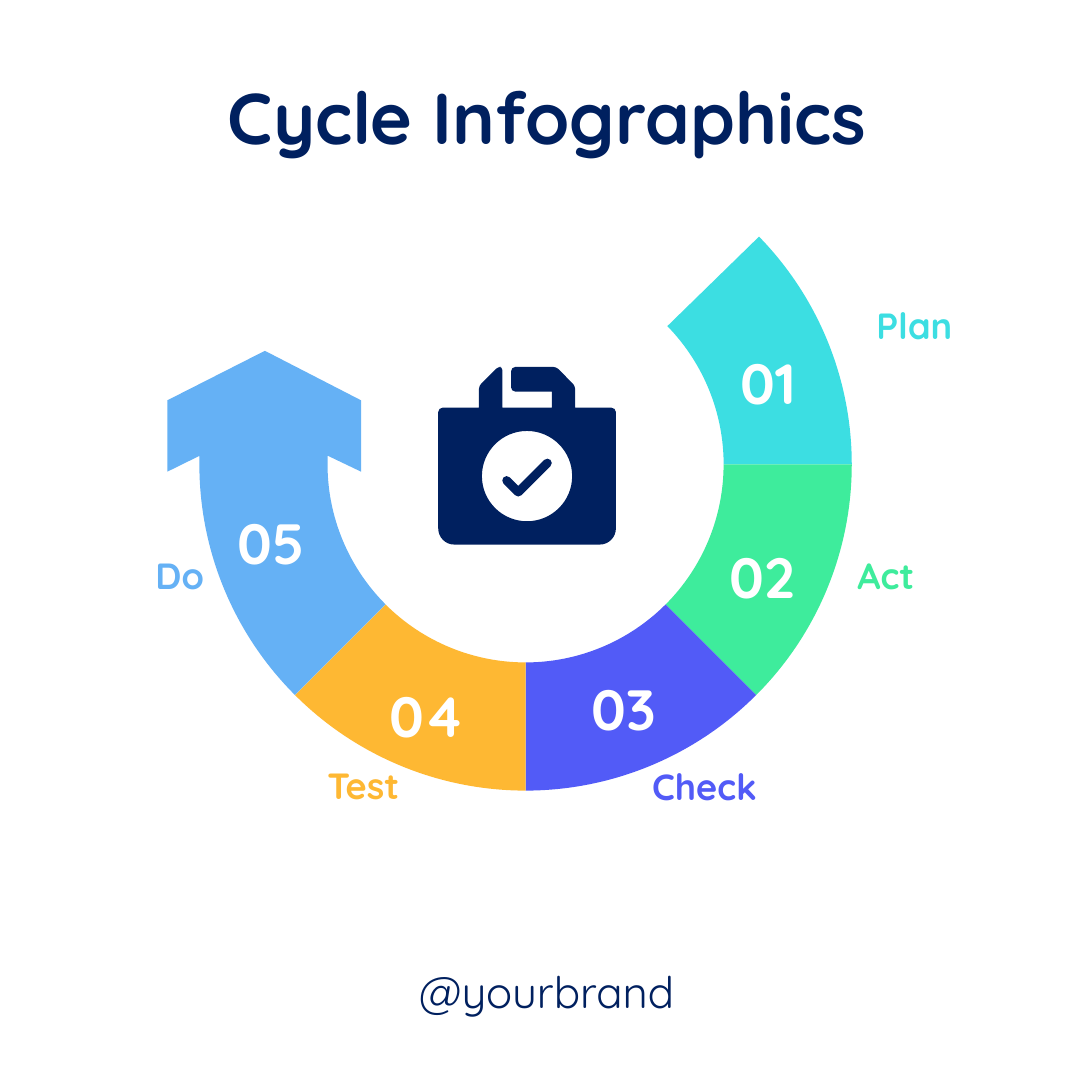
from math import ceil, cos, radians, sin, tan

from pptx import Presentation
from pptx import util as u
from pptx.dml.color import RGBColor
from pptx.enum import text
from pptx.oxml.ns import qn

SIDE = 7.5
NAVY, WHITE = "00205F", "FFFFFF"
FONT = "Quicksand"
LEFT, CENTER, RIGHT = text.PP_ALIGN.LEFT, text.PP_ALIGN.CENTER, text.PP_ALIGN.RIGHT

TITLE = ("Cycle Infographics", (0.56, 0.45, 6.4, 0.7))
HANDLE = ("@yourbrand", (2.38, 6.58, 2.75, 0.46))

STEPS = [
    ("01", "Plan", "3CDEE2", (4.9, 2.34), (5.92, 2.03, 1.18), LEFT),
    ("02", "Act", "3EEC9C", (4.86, 3.67), (5.79, 3.75, 1.18), LEFT),
    ("03", "Check", "525BF7", (3.91, 4.58), (4.38, 5.2, 1.58), LEFT),
    ("04", "Test", "FEB833", (2.56, 4.63), (1.66, 5.19, 1.18), RIGHT),
    ("05", "Do", "65B1F5", (1.49, 3.44), (0.32, 3.75, 1.18), RIGHT),
]
NUMBER_SIZE, LABEL_HEIGHT = (0.75, 0.57), (0.4,)

RING_CENTER, OUTER, INNER = (3.61, 3.19), 2.24, 1.36
OUTER_ANGLES = [-44.3, 0, 45, 90, 135, 181.5]
INNER_ANGLES = OUTER_ANGLES[:-1] + [182.5]
ARROW_HEAD = [(1.15, 3.24), (1.15, 2.75), (1.82, 2.41), (2.48, 2.75), (2.48, 3.24)]

BAG_CORNERS = [
    (4.23, 2.8, 0.03), (4.23, 3.74, 0.11), (3.01, 3.74, 0.11), (3.01, 2.8, 0.03),
    (3.29, 2.8, 0), (3.29, 2.65, 0.02), (3.42, 2.52, 0.02), (3.45, 2.52, 0.02),
    (3.45, 2.8, 0), (3.79, 2.8, 0), (3.79, 2.69, 0), (3.51, 2.69, 0.03),
    (3.51, 2.52, 0.03), (3.82, 2.52, 0.02), (3.95, 2.65, 0.02), (3.95, 2.8, 0),
]
BADGE_CENTER, BADGE_RADIUS = (3.62, 3.27), 0.31
TICK_START, TICK_TURN, TICK_END, TICK_RADIUS = (3.48, 3.3), (3.56, 3.38), (3.76, 3.18), 0.03


def color(value):
    return RGBColor.from_string(value)


def arc(center, radius, start, stop):
    count = ceil(abs(stop - start) / 90)
    turn = radians(stop - start) / count
    reach = 4 / 3 * tan(turn / 4)

    def on_arc(angle, pull=0):
        return (center[0] + radius * (cos(angle) - pull * sin(angle)),
                center[1] + radius * (sin(angle) + pull * cos(angle)))

    angles = [radians(start) + turn * i for i in range(count + 1)]
    curves = [on_arc(a, reach) + on_arc(b, -reach) + on_arc(b)
              for a, b in zip(angles, angles[1:])]
    return [on_arc(angles[0])] + curves


def toward(point, target, distance):
    dx, dy = target[0] - point[0], target[1] - point[1]
    share = distance / (dx * dx + dy * dy) ** 0.5
    return point[0] + dx * share, point[1] + dy * share


def rounded(corners):
    steps = []
    for i, (x, y, cut) in enumerate(corners):
        if not cut:
            steps.append((x, y))
            continue
        before, after = corners[i - 1], corners[(i + 1) % len(corners)]
        pull = cut * 0.45
        steps += [toward((x, y), before, cut),
                  toward((x, y), before, pull) + toward((x, y), after, pull)
                  + toward((x, y), after, cut)]
    return steps


def points_of(step):
    lengths = [u.Inches(value) for value in step]
    return list(zip(lengths[::2], lengths[1::2]))


def bend(shape, contours):
    lines = iter(list(shape.element.iter(qn("a:lnTo"))))
    for contour in contours:
        for step in contour[1:]:
            line = next(lines)
            if len(step) == 6:
                line.tag = qn("a:cubicBezTo")
                for extra in (next(lines), next(lines)):
                    line.append(extra[0])
                    extra.getparent().remove(extra)


def add_outline(group, fill, *contours):
    paths = [[point for step in contour for point in points_of(step)] for contour in contours]
    builder = group.shapes.build_freeform(*paths[0][0])
    builder.add_line_segments(paths[0][1:], close=True)
    for path in paths[1:]:
        builder.move_to(*path[0])
        builder.add_line_segments(path[1:], close=True)
    shape = builder.convert_to_shape()
    bend(shape, contours)
    shape.shadow.inherit = False
    shape.fill.solid()
    shape.fill.fore_color.rgb = color(fill)
    shape.line.fill.background()


def write(box, words, place, size, fill, bold=True, align=CENTER):
    box.left, box.top, box.width, box.height = map(u.Inches, place)
    frame = box.text_frame
    frame.word_wrap = True
    frame.auto_size = text.MSO_AUTO_SIZE.SHAPE_TO_FIT_TEXT
    frame.vertical_anchor = text.MSO_ANCHOR.TOP
    para = frame.paragraphs[0]
    para.text = words
    para.alignment = align
    para.font.name, para.font.size, para.font.bold = FONT, u.Pt(size), bold
    para.font.color.rgb = color(fill)


def add_text(page, *details, **options):
    write(page.shapes.add_textbox(0, 0, 0, 0), *details, **options)


def add_ring(page):
    ring = page.shapes.add_group_shape()
    for i, step in enumerate(STEPS):
        head = ARROW_HEAD if step is STEPS[-1] else []
        add_outline(ring, step[2],
                    arc(RING_CENTER, OUTER, OUTER_ANGLES[i], OUTER_ANGLES[i + 1]) + head
                    + arc(RING_CENTER, INNER, INNER_ANGLES[i + 1], INNER_ANGLES[i]))


def add_bag(page):
    bag = page.shapes.add_group_shape()
    add_outline(bag, NAVY, rounded(BAG_CORNERS), arc(BADGE_CENTER, BADGE_RADIUS, 360, 0))
    inner_turn = (TICK_TURN[0], TICK_TURN[1] - TICK_RADIUS * 2 ** 0.5)
    add_outline(bag, NAVY, arc(TICK_START, TICK_RADIUS, 135, 315) + [inner_turn]
                + arc(TICK_END, TICK_RADIUS, 225, 405)
                + arc(TICK_TURN, TICK_RADIUS, 45, 135))


def main():
    """Build the cycle infographic slide."""
    deck = Presentation()
    deck.slide_width = deck.slide_height = u.Inches(SIDE)
    page = deck.slides.add_slide(deck.slide_layouts.get_by_name("Title Only"))
    page.background.fill.solid()
    page.background.fill.fore_color.rgb = color(WHITE)
    write(page.shapes.title, *TITLE, 35.6, NAVY)
    add_text(page, *HANDLE, 21.6, NAVY, bold=False)
    add_ring(page)
    for number, label, fill, number_at, label_at, align in STEPS:
        add_text(page, number, number_at + NUMBER_SIZE, 28, WHITE)
        add_text(page, label, label_at + LABEL_HEIGHT, 18, fill, align=align)
    add_bag(page)
    deck.save("out.pptx")


if __name__ == "__main__":
    main()
